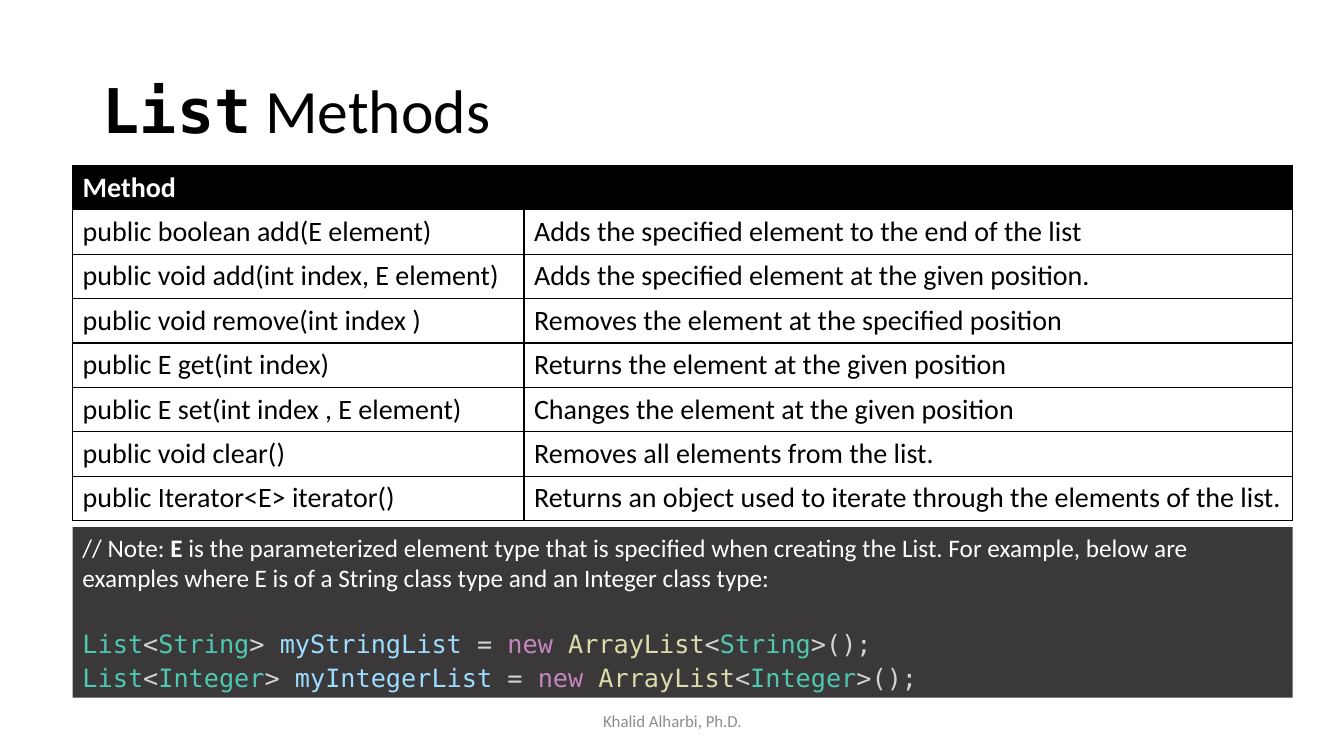
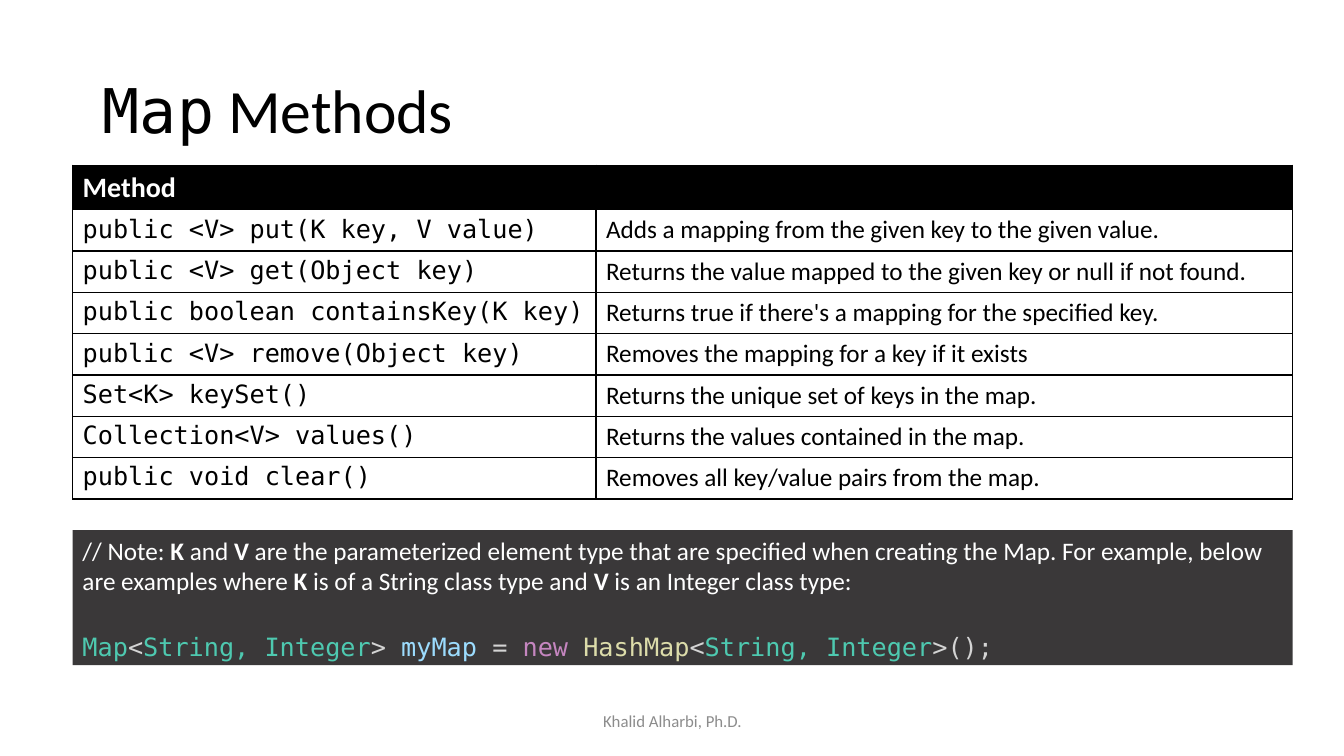
import pptx
import pptx.util
import pptx.dml.color
import pptx.enum.shapes
import pptx.enum.text
import pptx.oxml
import pptx.oxml.ns

Inches, Pt = pptx.util.Inches, pptx.util.Pt
ANCHOR, ALIGN = pptx.enum.text.MSO_ANCHOR, pptx.enum.text.PP_ALIGN

THEME = {
    "font": "Calibri", "mono": "DejaVu Sans Mono",
    "title": 44, "head": 20, "note": 18, "footer": 12, "code_line": 24.8,
    "black": "000000", "white": "FFFFFF", "panel": "3A3839", "grey": "8C8C8C",
    "type": "4EC9B0", "plain": "D4D4D4", "variable": "9CDCFE",
    "keyword": "C586C0", "call": "DCDCAA",
}
WIDTH, HEIGHT = 13.33, 7.5
LEFT, TABLE_TOP, TABLE_WIDTH, ROW = 0.72, 1.64, 12.1, 0.41
FOOTER = "Khalid Alharbi, Ph.D."

# Content: asterisks enclose bold words; each declaration is type, parameters, variable, class
SLIDES = [
    {
        "word": "List", "word_bold": True,
        "body_size": 20, "method_font": "font", "first_share": 0.37,
        "rows": [
            ("public boolean add(E element)", "Adds the specified element to the end of the list"),
            ("public void add(int index, E element)", "Adds the specified element at the given position."),
            ("public void remove(int index )", "Removes the element at the specified position"),
            ("public E get(int index)", "Returns the element at the given position"),
            ("public E set(int index , E element)", "Changes the element at the given position"),
            ("public void clear()", "Removes all elements from the list."),
            ("public Iterator<E> iterator()",
             "Returns an object used to iterate through the elements of the list."),
        ],
        "panel": (5.23, 1.69),
        "note": "// Note: *E* is the parameterized element type that is specified when creating "
                "the List. For example, below are examples where E is of a String class type "
                "and an Integer class type:",
        "code": [("List", "String", "myStringList", "ArrayList"),
                 ("List", "Integer", "myIntegerList", "ArrayList")],
    },
    {
        "word": "Map", "word_bold": False,
        "body_size": 18, "method_font": "mono", "first_share": 0.429,
        "rows": [
            ("public <V> put(K key, V value)", "Adds a mapping from the given key to the given value."),
            ("public <V> get(Object key)",
             "Returns the value mapped to the given key or null if not found."),
            ("public boolean containsKey(K key)",
             "Returns true if there's a mapping for the specified key."),
            ("public <V> remove(Object key)", "Removes the mapping for a key if it exists"),
            ("Set<K> keySet()", "Returns the unique set of keys in the map."),
            ("Collection<V> values()", "Returns the values contained in the map."),
            ("public void clear()", "Removes all key/value pairs from the map."),
        ],
        "panel": (5.26, 1.34),
        "note": "// Note: *K* and *V* are the parameterized element type that are specified when "
                "creating the Map. For example, below are examples where *K* is of a String "
                "class type and* V* is an Integer class type:",
        "code": [("Map", "String, Integer", "myMap", "HashMap")],
    },
]


def rgb(name):
    return pptx.dml.color.RGBColor.from_string(THEME[name])


def add_run(p, text, size, color, font="font", bold=False):
    r = p.add_run()
    r.text = text
    r.font.name, r.font.size, r.font.bold = THEME[font], Pt(size), bold
    r.font.color.rgb = rgb(color)


def set_borders(cell):
    tc_pr = cell._tc.get_or_add_tcPr()
    for side in "LRTB":
        tc_pr.append(pptx.oxml.parse_xml(
            f'<a:ln{side} {pptx.oxml.ns.nsdecls("a")} w="12700"><a:solidFill>'
            f'<a:srgbClr val="{THEME["black"]}"/></a:solidFill></a:ln{side}>'))


def set_cell(cell, text, size, color, fill, font="font", bold=False):
    set_borders(cell)
    cell.fill.solid()
    cell.fill.fore_color.rgb = rgb(fill)
    if text:
        add_run(cell.text_frame.paragraphs[0], text, size, color, font, bold)


def setup_layout(prs):
    """Place the title once, on the layout that every slide uses."""
    layout = prs.slide_layouts[5]
    title = layout.placeholders[0]
    title.left, title.top = Inches(0.92), Inches(0.4)
    title.width, title.height = Inches(11.5), Inches(1.45)
    return layout


def add_title(s, word, bold):
    tf = s.shapes.title.text_frame
    tf.vertical_anchor = ANCHOR.MIDDLE
    tf.auto_size = pptx.enum.text.MSO_AUTO_SIZE.NONE
    p = tf.paragraphs[0]
    p.alignment, p.line_spacing = ALIGN.LEFT, 0.9
    add_run(p, word, THEME["title"], "black", "mono", bold)
    add_run(p, " Methods", THEME["title"], "black")


def add_methods(s, item):
    count = len(item["rows"]) + 1
    table = s.shapes.add_table(count, 2, Inches(LEFT), Inches(TABLE_TOP),
                               Inches(TABLE_WIDTH), Inches(ROW * count)).table
    table.horz_banding = False
    first = TABLE_WIDTH * item["first_share"]
    for column, width in zip(table.columns, (first, TABLE_WIDTH - first)):
        column.width = Inches(width)
    for cell, text in zip(table.rows[0].cells, ("Method", "")):
        set_cell(cell, text, THEME["head"], "white", "black", bold=True)
    for i, texts in enumerate(item["rows"], 1):
        for j, font in enumerate((item["method_font"], "font")):
            set_cell(table.cell(i, j), texts[j], item["body_size"], "black", "white", font)


def code_tokens(kind, params, variable, maker):
    return [(kind, "type"), ("<", "plain"), (params, "type"), ("> ", "plain"),
            (variable, "variable"), (" = ", "plain"), ("new", "keyword"), (" ", "plain"),
            (maker, "call"), ("<", "plain"), (params, "type"), (">();", "plain")]


def add_panel(s, item):
    top, height = item["panel"]
    sp = s.shapes.add_shape(pptx.enum.shapes.MSO_SHAPE.RECTANGLE, Inches(LEFT), Inches(top),
                            Inches(TABLE_WIDTH), Inches(height))
    sp.shadow.inherit = False
    sp.fill.solid()
    sp.fill.fore_color.rgb = rgb("panel")
    sp.line.fill.background()
    tf = sp.text_frame
    tf.word_wrap, tf.vertical_anchor = True, ANCHOR.TOP
    p = tf.paragraphs[0]
    p.alignment = ALIGN.LEFT
    for i, part in enumerate(item["note"].split("*")):
        add_run(p, part, THEME["note"], "white", bold=i % 2 == 1)
    for i, declaration in enumerate(item["code"]):
        p = tf.add_paragraph()
        p.alignment, p.line_spacing = ALIGN.LEFT, Pt(THEME["code_line"])
        p.space_before = Pt(0 if i else 22)
        for text, color in code_tokens(*declaration):
            add_run(p, text, THEME["note"], color, "mono")


def add_footer(s):
    sp = s.shapes.add_textbox(Inches(4.42), Inches(6.95), Inches(4.5), Inches(0.4))
    tf = sp.text_frame
    tf.word_wrap, tf.vertical_anchor = True, ANCHOR.MIDDLE
    tf.paragraphs[0].alignment = ALIGN.CENTER
    add_run(tf.paragraphs[0], FOOTER, THEME["footer"], "grey")


def main():
    prs = pptx.Presentation()
    prs.slide_width, prs.slide_height = Inches(WIDTH), Inches(HEIGHT)
    layout = setup_layout(prs)
    for item in SLIDES:
        s = prs.slides.add_slide(layout)
        add_title(s, item["word"], item["word_bold"])
        add_methods(s, item)
        add_footer(s)
        add_panel(s, item)
    prs.save("out.pptx")


if __name__ == "__main__":
    main()
